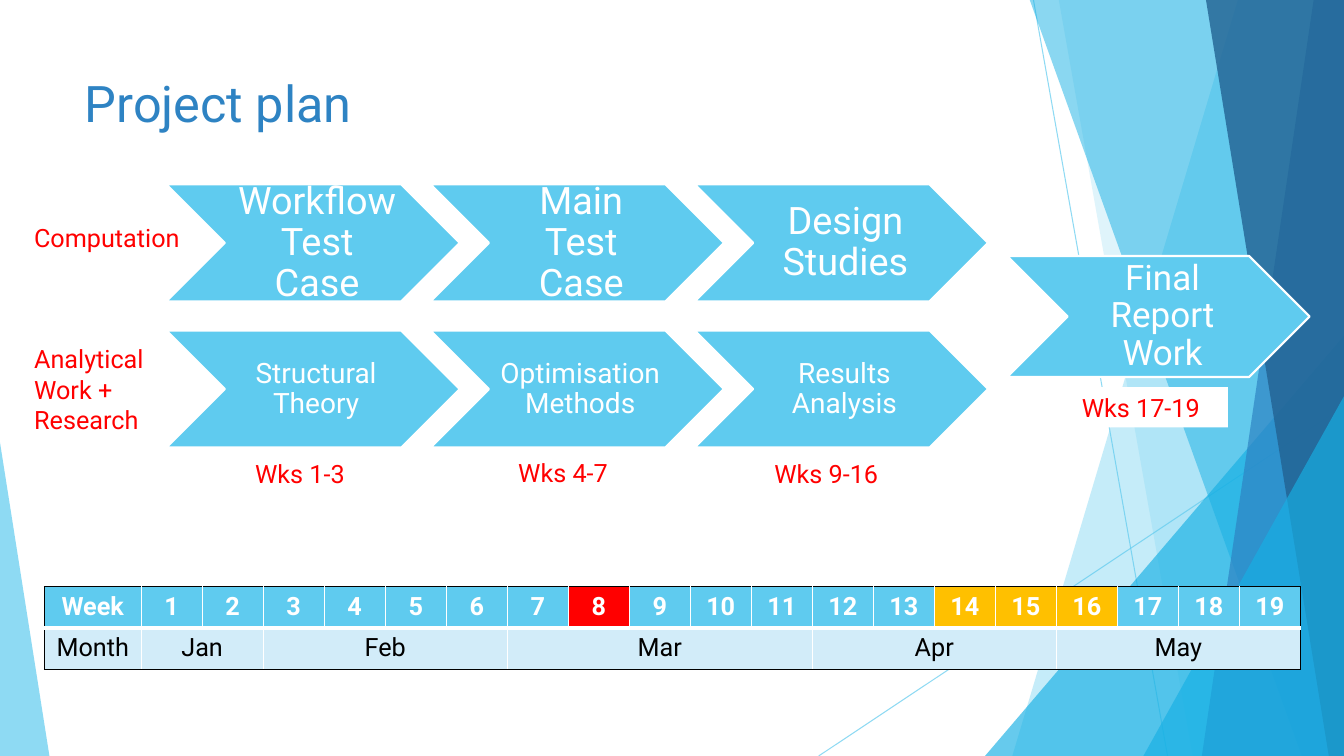
from lxml import etree
from pptx import Presentation
from pptx import util as u
from pptx.dml.color import RGBColor
from pptx.enum import shapes, text
from pptx.oxml import ns

PX = 9144  # 100 px to the inch
FACE = "Roboto"
WHITE = RGBColor(0xFF, 0xFF, 0xFF)
BLACK = RGBColor(0, 0, 0)
RED = RGBColor(0xFF, 0, 0)
AMBER = RGBColor(0xFF, 0xC0, 0)
SKY = RGBColor(0x5F, 0xCB, 0xEF)
CYAN = RGBColor(0x17, 0xB0, 0xE4)
BLUE = RGBColor(0x2E, 0x83, 0xC3)
NAVY = RGBColor(0x22, 0x62, 0x92)
PALE = RGBColor(0xD2, 0xEC, 0xF9)

RAYS = [(1025, 0, 1158, 750), (1333, 403, 812, 750)]
# top-left x, bottom-left x, colour, opacity; each runs to the right edge
BANDS = [(1228, 1004, SKY, 36), (1050, 1183, SKY, 20)]
FRONT = [(1021, 1291, CYAN, 50), (1303, 1192, BLUE, 70), (1196, 1318, NAVY, 80)]

STEPS = [
    (183, 27, 4, ["Workflow Test Case", "Main Test Case", "Design Studies"]),
    (328, 20, 3, ["Structural Theory", "Optimisation Methods", "Results Analysis"]),
]
LEFT, PITCH = 165, 262
LABELS = [
    ("Computation", (24, 216, 173, 40), text.PP_ALIGN.LEFT),
    ("Analytical Work + Research", (24, 336, 141, 101), text.PP_ALIGN.LEFT),
    ("Wks 1-3", (211, 450, 173, 40), text.PP_ALIGN.CENTER),
    ("Wks 4-7", (472, 449, 173, 40), text.PP_ALIGN.CENTER),
    ("Wks 9-16", (733, 450, 173, 40), text.PP_ALIGN.CENTER),
    ("Wks 17-19", (1045, 384, 173, 40), text.PP_ALIGN.CENTER),
]
WEEKS = 19
MONTHS = [("Jan", 2), ("Feb", 4), ("Mar", 5), ("Apr", 4), ("May", 4)]
MARKED = {8: RED, 14: AMBER, 15: AMBER, 16: AMBER}


def px(*sizes):
    return [u.Emu(size * PX) for size in sizes]


def put(item, values):
    """Set each named attribute of item."""
    for name, value in values.items():
        setattr(item, name, value)


def write(frame, words, size, colour, align, bold=False, **form):
    put(frame, {"word_wrap": True, **form})
    frame.text = words
    para = frame.paragraphs[0]
    para.alignment = align
    font = para.runs[0].font
    put(font, {"name": FACE, "size": u.Pt(size), "bold": bold})
    font.color.rgb = colour
    return para


def fade(part, percent):
    """Make the solid colour inside part see-through."""
    colour = next(part.iter(ns.qn("a:srgbClr")))
    etree.SubElement(colour, ns.qn("a:alpha"), val=str(percent * 1000))


def paint(shape, colour, percent=100, edge=None):
    shape.shadow.inherit = False
    shape.fill.solid()
    shape.fill.fore_color.rgb = colour
    if percent < 100:
        fade(shape.element.spPr, percent)
    if edge:
        shape.line.color.rgb = edge
        shape.line.width = u.Pt(1.5)
    else:
        shape.line.fill.background()


def add_ray(slide, ends):
    ray = slide.shapes.add_connector(shapes.MSO_CONNECTOR.STRAIGHT, *px(*ends))
    ray.line.color.rgb = SKY
    ray.line.width = u.Pt(0.75)
    props = ray.element.spPr
    fade(props, 70)
    etree.SubElement(props, ns.qn("a:effectLst"))


def add_band(slide, top, base, colour, percent):
    pen = slide.shapes.build_freeform(top, -1, scale=PX)
    pen.add_line_segments([(1333, -1), (1333, 750), (base, 750)], close=True)
    paint(pen.convert_to_shape(), colour, percent)


def add_wedge(slide, box, apex, colour, percent):
    wedge = slide.shapes.add_shape(
        shapes.MSO_SHAPE.ISOSCELES_TRIANGLE, *px(*box))
    wedge.adjustments[0] = apex
    paint(wedge, colour, percent)


def add_step(slide, words, box, size, inset):
    step = slide.shapes.add_shape(shapes.MSO_SHAPE.CHEVRON, *px(*box))
    paint(step, SKY, edge=WHITE)
    wide, slim = px(3 * inset, inset)
    para = write(step.text_frame, words, size, WHITE, text.PP_ALIGN.CENTER,
                 vertical_anchor=text.MSO_ANCHOR.MIDDLE, margin_left=wide,
                 margin_top=slim, margin_right=slim, margin_bottom=slim)
    para.line_spacing = 0.9


def add_label(slide, words, box, align):
    label = slide.shapes.add_shape(shapes.MSO_SHAPE.RECTANGLE, *px(*box))
    paint(label, WHITE)
    write(label.text_frame, words, 18, RED, align,
          vertical_anchor=text.MSO_ANCHOR.TOP,
          auto_size=text.MSO_AUTO_SIZE.SHAPE_TO_FIT_TEXT)


def fill_cell(cell, words, fill, colour, bold, edges):
    """Style a cell; edges gives (colour, points) for left, right, top, bottom."""
    write(cell.text_frame, words, 18, colour, text.PP_ALIGN.CENTER, bold)
    cell.fill.solid()
    cell.fill.fore_color.rgb = fill
    props = cell._tc.get_or_add_tcPr()
    for spot, (side, (shade, width)) in enumerate(zip("LRTB", edges)):
        line = etree.Element(ns.qn("a:ln" + side), w=str(u.Pt(width)))
        solid = etree.SubElement(line, ns.qn("a:solidFill"))
        etree.SubElement(solid, ns.qn("a:srgbClr"), val=str(shade))
        props.insert(spot, line)


def add_table(slide):
    grid = slide.shapes.add_table(
        2, WEEKS + 1, *px(44, 582, 1246, 82)).table
    grid.columns[0].width = px(96)[0]
    for week in range(1, WEEKS + 1):
        grid.columns[week].width = u.Emu(1150 * PX // WEEKS)
    thin, dark, thick = (WHITE, 1), (BLACK, 1), (WHITE, 3)

    def sides(first, last):
        return (dark if first == 0 else thin, dark if last == WEEKS else thin)

    for week in range(WEEKS + 1):
        fill_cell(grid.cell(0, week), str(week) if week else "Week",
                  MARKED.get(week, SKY), WHITE, True,
                  (*sides(week, week), dark, thick))
    first = 0
    for month, span in [("Month", 1), *MONTHS]:
        last = first + span - 1
        cell = grid.cell(1, first)
        if span > 1:
            cell.merge(grid.cell(1, last))
        fill_cell(cell, month, PALE, BLACK, False,
                  (*sides(first, last), thin, dark))
        first = last + 1


def main():
    deck = Presentation()
    put(deck, dict(zip(("slide_width", "slide_height"), px(1333, 750))))
    slide = deck.slides.add_slide(deck.slide_layouts[5])

    for ends in RAYS:
        add_ray(slide, ends)
    for band in BANDS:
        add_band(slide, *band)
    add_wedge(slide, (977, 333, 356, 417), 1, CYAN, 66)
    for band in FRONT:
        add_band(slide, *band)
    add_wedge(slide, (1134, 393, 199, 357), 1, CYAN, 66)
    add_wedge(slide, (0, 439, 49, 311), 0, SKY, 70)

    title = slide.shapes.title
    put(title, dict(zip(("left", "top", "width", "height"),
                        px(74, 67, 940, 144))))
    write(title.text_frame, "Project plan", 36, BLUE, text.PP_ALIGN.LEFT,
          vertical_anchor=text.MSO_ANCHOR.TOP,
          auto_size=text.MSO_AUTO_SIZE.NONE)

    for top, size, inset, names in STEPS:
        for spot, name in enumerate(names):
            add_step(slide, name, (LEFT + spot * PITCH, top, 291, 116),
                     size, inset)
    add_step(slide, "Final Report Work", (999, 254, 300, 120), 25, 4)
    for label in LABELS:
        add_label(slide, *label)
    add_table(slide)
    deck.save("out.pptx")


if __name__ == "__main__":
    main()
